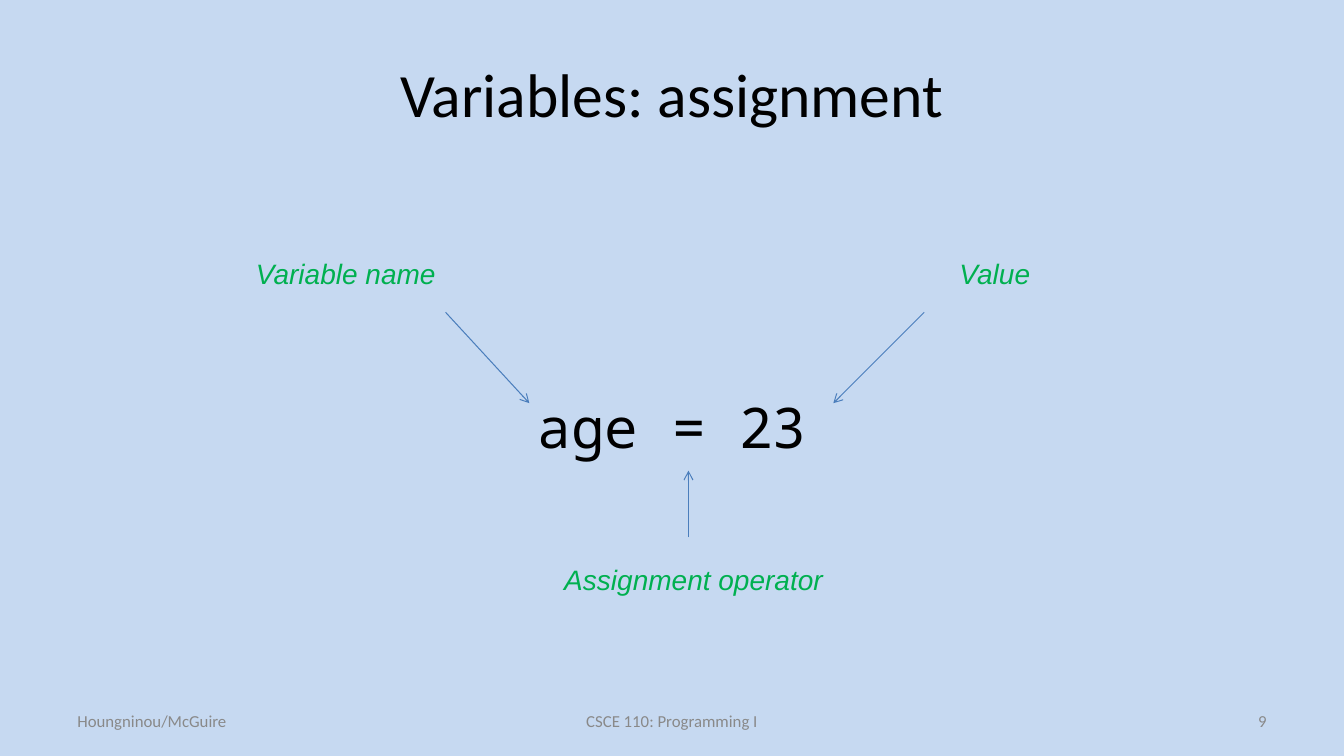
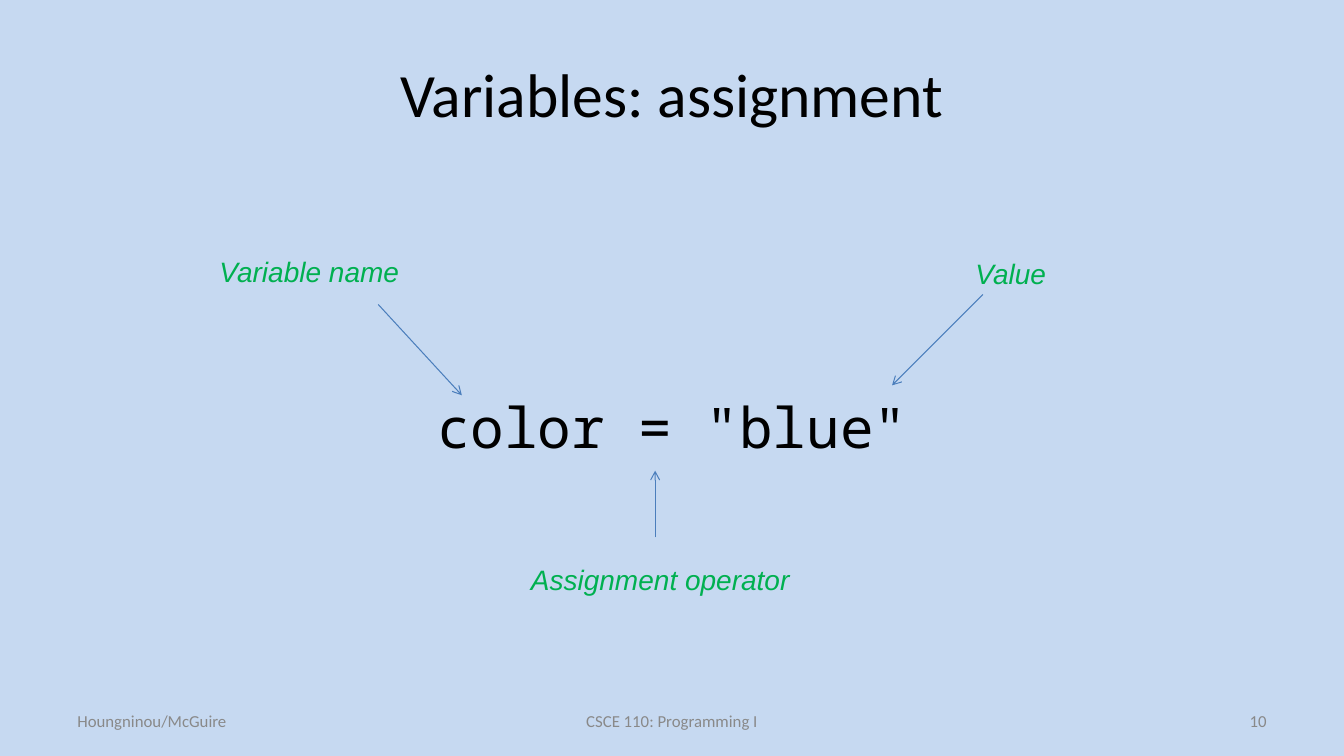
from dataclasses import dataclass

import pptx
import pptx.dml.color
import pptx.enum.shapes
import pptx.enum.text
import pptx.oxml
import pptx.oxml.ns
import pptx.util

Cm = pptx.util.Cm
ALIGN = pptx.enum.text.PP_ALIGN
ANCHOR = pptx.enum.text.MSO_ANCHOR

# Shared look
BACKGROUND, BLACK, GREY = "C6D9F1", "000000", "898989"
GREEN, BLUE = "00B050", "4B7EBC"
SLIDE_W, SLIDE_H = 33.87, 19.05
MARGIN = 1.7
CONTENT_W = SLIDE_W - 2 * MARGIN
FOOTER_TOP, FOOTER_H = 17.65, 1.02
SIDE_W, MIDDLE_W = 7.9, 10.72
LABEL_H = 1.12


@dataclass(frozen=True)
class Style:
    font: str
    size: int
    color: str
    italic: bool = False


TITLE = Style("Calibri", 44, BLACK)
CODE = Style("Noto Sans Mono", 40, BLACK)
LABEL = Style("Arial", 20, GREEN, italic=True)
FOOTER = Style("Calibri", 12, GREY)


@dataclass(frozen=True)
class Role:
    """A role in an assignment: its label and the reach of its arrow."""
    text: str
    width: float
    dx: float
    dy: float


NAME = Role("Variable name", 5.05, 2.11, 2.29)
OPERATOR = Role("Assignment operator", 7.09, 0, -1.68)
VALUE = Role("Value", 2.31, -2.29, 2.29)


@dataclass(frozen=True)
class Callout:
    role: Role
    label: tuple[float, float]
    arrow: tuple[float, float]


@dataclass(frozen=True)
class Example:
    number: int
    code: str
    callouts: tuple[Callout, ...]


EXAMPLES = (
    Example(9, "age = 23", (
        Callout(NAME, (6.2, 6.35), (11.23, 7.87)),
        Callout(OPERATOR, (13.97, 14.05), (17.35, 13.54)),
        Callout(VALUE, (23.93, 6.35), (23.29, 7.87)))),
    Example(10, 'color = "blue"', (
        Callout(NAME, (5.28, 6.3), (9.53, 7.67)),
        Callout(OPERATOR, (13.13, 14.05), (16.51, 13.54)),
        Callout(VALUE, (24.33, 6.35), (24.77, 7.42)))),
)


def rgb(color: str) -> pptx.dml.color.RGBColor:
    return pptx.dml.color.RGBColor.from_string(color)


def write(sp, text: str, style: Style, align=ALIGN.LEFT,
          anchor=ANCHOR.MIDDLE, wrap: bool = True) -> None:
    tf = sp.text_frame
    tf.auto_size = pptx.enum.text.MSO_AUTO_SIZE.NONE
    tf.word_wrap = wrap
    tf.vertical_anchor = anchor
    p = tf.paragraphs[0]
    p.alignment = align
    r = p.add_run()
    r.text = text
    r.font.name = style.font
    r.font.size = pptx.util.Pt(style.size)
    r.font.italic = style.italic
    r.font.color.rgb = rgb(style.color)


def add_text(slide, left: float, top: float, width: float, height: float,
             text: str, style: Style, **layout) -> None:
    sp = slide.shapes.add_textbox(Cm(left), Cm(top), Cm(width), Cm(height))
    write(sp, text, style, **layout)


def add_title(slide, text: str) -> None:
    sp = slide.shapes.title
    sp.left, sp.top = Cm(MARGIN), Cm(0.76)
    sp.width, sp.height = Cm(CONTENT_W), Cm(3.18)
    write(sp, text, TITLE, align=ALIGN.CENTER)


def add_footer(slide, number: int) -> None:
    cells = (
        (MARGIN, SIDE_W, "Houngninou/McGuire", ALIGN.LEFT),
        ((SLIDE_W - MIDDLE_W) / 2, MIDDLE_W, "CSCE 110: Programming I", ALIGN.CENTER),
        (SLIDE_W - MARGIN - SIDE_W, SIDE_W, str(number), ALIGN.RIGHT),
    )
    for left, width, text, align in cells:
        add_text(slide, left, FOOTER_TOP, width, FOOTER_H, text, FOOTER, align=align)


def add_arrow(slide, x: float, y: float, dx: float, dy: float) -> None:
    line = slide.shapes.add_connector(
        pptx.enum.shapes.MSO_CONNECTOR.STRAIGHT,
        Cm(x), Cm(y), Cm(x + dx), Cm(y + dy))
    line.line.color.rgb = rgb(BLUE)
    line.line.width = pptx.util.Pt(0.75)
    # Open arrowhead at the end, and no shadow
    props = line.element.spPr
    namespace = pptx.oxml.ns.nsdecls("a")
    props.find(pptx.oxml.ns.qn("a:ln")).append(
        pptx.oxml.parse_xml(f'<a:tailEnd {namespace} type="arrow"/>'))
    props.append(pptx.oxml.parse_xml(f"<a:effectLst {namespace}/>"))


def add_callout(slide, callout: Callout) -> None:
    role = callout.role
    add_text(slide, *callout.label, role.width, LABEL_H, role.text, LABEL,
             anchor=ANCHOR.TOP, wrap=False)
    add_arrow(slide, *callout.arrow, role.dx, role.dy)


def add_example(prs, example: Example) -> None:
    slide = prs.slides.add_slide(prs.slide_layouts.get_by_name("Title Only"))
    add_title(slide, "Variables: assignment")
    add_text(slide, MARGIN, 4.45, CONTENT_W, 12.57, example.code, CODE,
             align=ALIGN.CENTER)
    for callout in example.callouts:
        add_callout(slide, callout)
    add_footer(slide, example.number)


def main() -> None:
    prs = pptx.Presentation()
    prs.slide_width, prs.slide_height = Cm(SLIDE_W), Cm(SLIDE_H)
    fill = prs.slide_master.background.fill
    fill.solid()
    fill.fore_color.rgb = rgb(BACKGROUND)
    for example in EXAMPLES:
        add_example(prs, example)
    prs.save("out.pptx")


if __name__ == "__main__":
    main()
